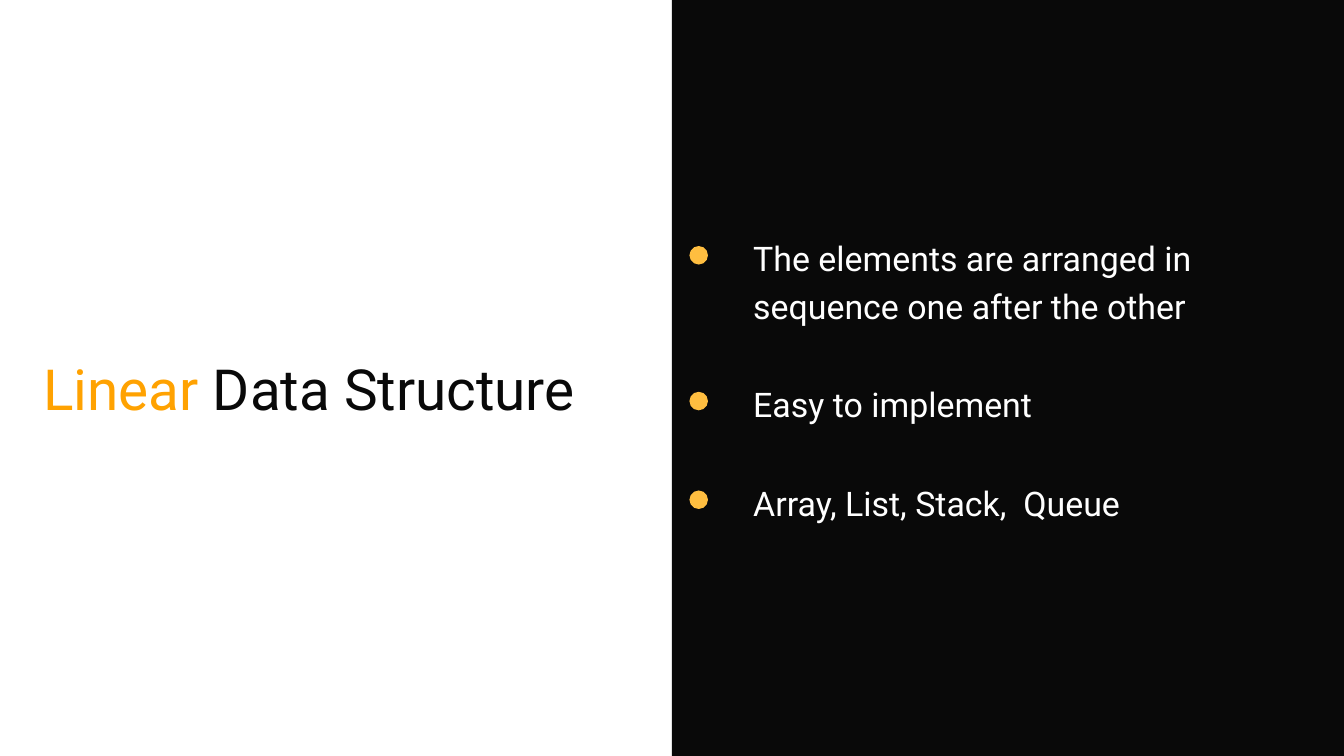
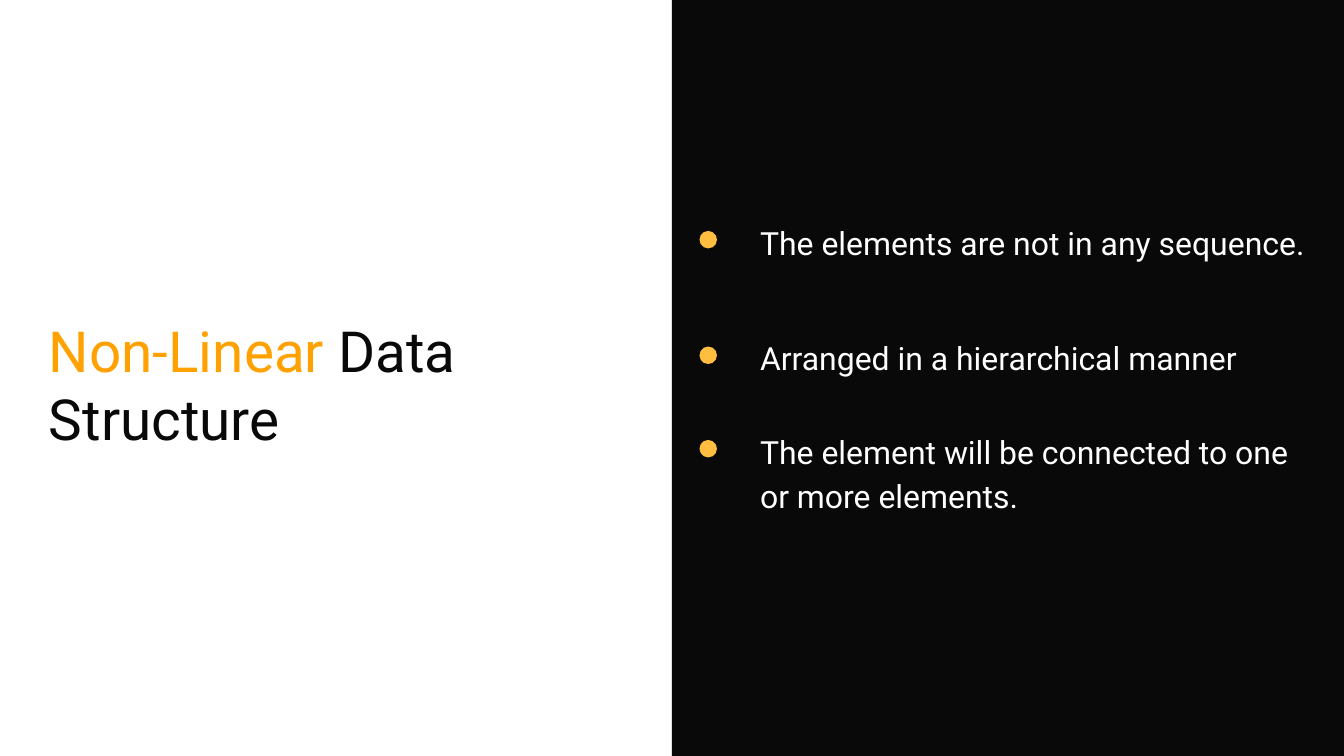
from dataclasses import dataclass

from pptx import Presentation
from pptx.dml.color import RGBColor
from pptx.enum import shapes, text
from pptx.util import Cm, Pt


@dataclass(frozen=True)
class Theme:
    font: str = "Roboto"
    ink: RGBColor = RGBColor(0x09, 0x09, 0x09)
    paper: RGBColor = RGBColor(0xFF, 0xFF, 0xFF)
    accent: RGBColor = RGBColor(0xFF, 0xA2, 0x01)
    dot: RGBColor = RGBColor(0xFF, 0xBE, 0x40)
    title_size: float = 60.7
    title_line: float = 72.9


THEME = Theme()

# Content: title box is left, top, width, height; points are top, lines, wording (cm)
SLIDES = [
    {
        "title": ("Linear", " Data Structure"),
        "title_box": (1.63, 13.36, 22, 2.59),
        "size": 36.3, "line": 50.8,
        "dot_left": 26.06, "dot_drop": 0.56, "dot_width": 0.7,
        "text_left": 28.47, "text_width": 22.33,
        "points": [
            (8.74, 2, "The elements are arranged in sequence one after the other"),
            (14.25, 1, "Easy to implement"),
            (17.98, 1, "Array, List, Stack,  Queue"),
        ],
    },
    {
        "title": ("Non-Linear", " Data Structure"),
        "title_box": (1.85, 11.94, 20.17, 5.13),
        "size": 34.2, "line": 47.9,
        "dot_left": 26.44, "dot_drop": 0.53, "dot_width": 0.66,
        "text_left": 28.73, "text_width": 21.03,
        "points": [
            (8.2, 1, "The elements are not in any sequence."),
            (12.57, 1, "Arranged in a hierarchical manner"),
            (16.1, 2, "The element will be connected to one or more elements."),
        ],
    },
]


def fill_plain(sp, color):
    sp.shadow.inherit = False
    sp.fill.solid()
    sp.fill.fore_color.rgb = color
    sp.line.fill.background()


def write(tf, parts, size, line):
    """Set one paragraph made of (wording, colour) parts in a box without margins."""
    tf.word_wrap = True
    tf.auto_size = text.MSO_AUTO_SIZE.NONE
    tf.vertical_anchor = text.MSO_ANCHOR.TOP
    tf.margin_left = tf.margin_top = tf.margin_right = tf.margin_bottom = 0
    p = tf.paragraphs[0]
    p.alignment = text.PP_ALIGN.LEFT
    p.line_spacing = Pt(line)
    p.space_before = Pt(0)
    for wording, color in parts:
        r = p.add_run()
        r.text = wording
        r.font.name = THEME.font
        r.font.size = Pt(size)
        r.font.color.rgb = color


def add_title(s, data):
    sp = s.shapes.title
    sp.left, sp.top, sp.width, sp.height = map(Cm, data["title_box"])
    parts = zip(data["title"], (THEME.accent, THEME.ink))
    write(sp.text_frame, parts, THEME.title_size, THEME.title_line)


def add_panel(prs, s):
    half = prs.slide_width // 2
    panel = s.shapes.add_shape(
        shapes.MSO_SHAPE.RECTANGLE, half, 0, half, prs.slide_height)
    fill_plain(panel, THEME.ink)


def add_point(s, data, top, lines, wording):
    row = s.shapes.add_group_shape()
    width = Cm(data["dot_width"])
    dot = row.shapes.add_shape(
        shapes.MSO_SHAPE.OVAL, Cm(data["dot_left"]),
        Cm(top + data["dot_drop"]), width, width)
    fill_plain(dot, THEME.dot)
    box = row.shapes.add_textbox(
        Cm(data["text_left"]), Cm(top), Cm(data["text_width"]),
        Pt(data["line"] * lines))
    write(box.text_frame, [(wording, THEME.paper)], data["size"], data["line"])


def main():
    prs = Presentation()
    prs.slide_width = Cm(50.8)
    prs.slide_height = prs.slide_width * 9 // 16
    title_only = prs.slide_layouts[5]
    for data in SLIDES:
        s = prs.slides.add_slide(title_only)
        s.background.fill.solid()
        s.background.fill.fore_color.rgb = THEME.paper
        add_panel(prs, s)
        for point in data["points"]:
            add_point(s, data, *point)
        add_title(s, data)
    prs.save("out.pptx")


if __name__ == "__main__":
    main()
